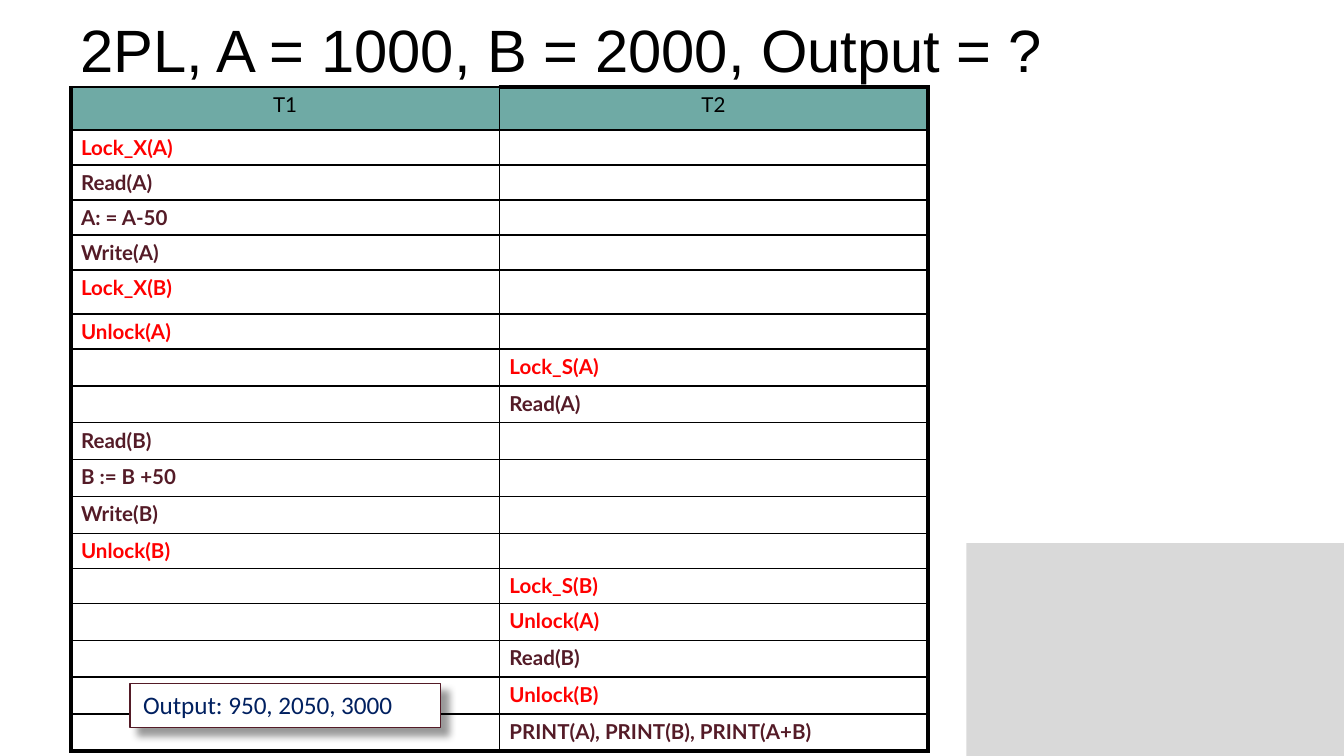
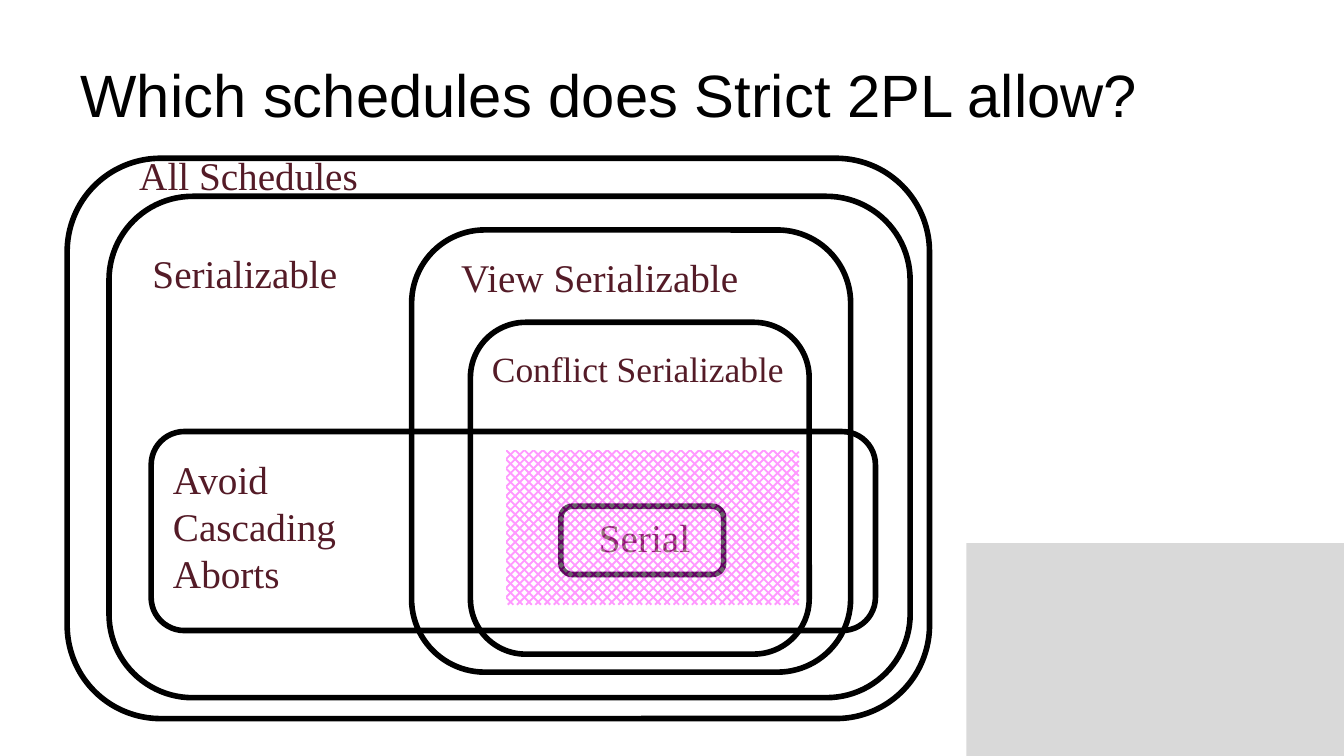
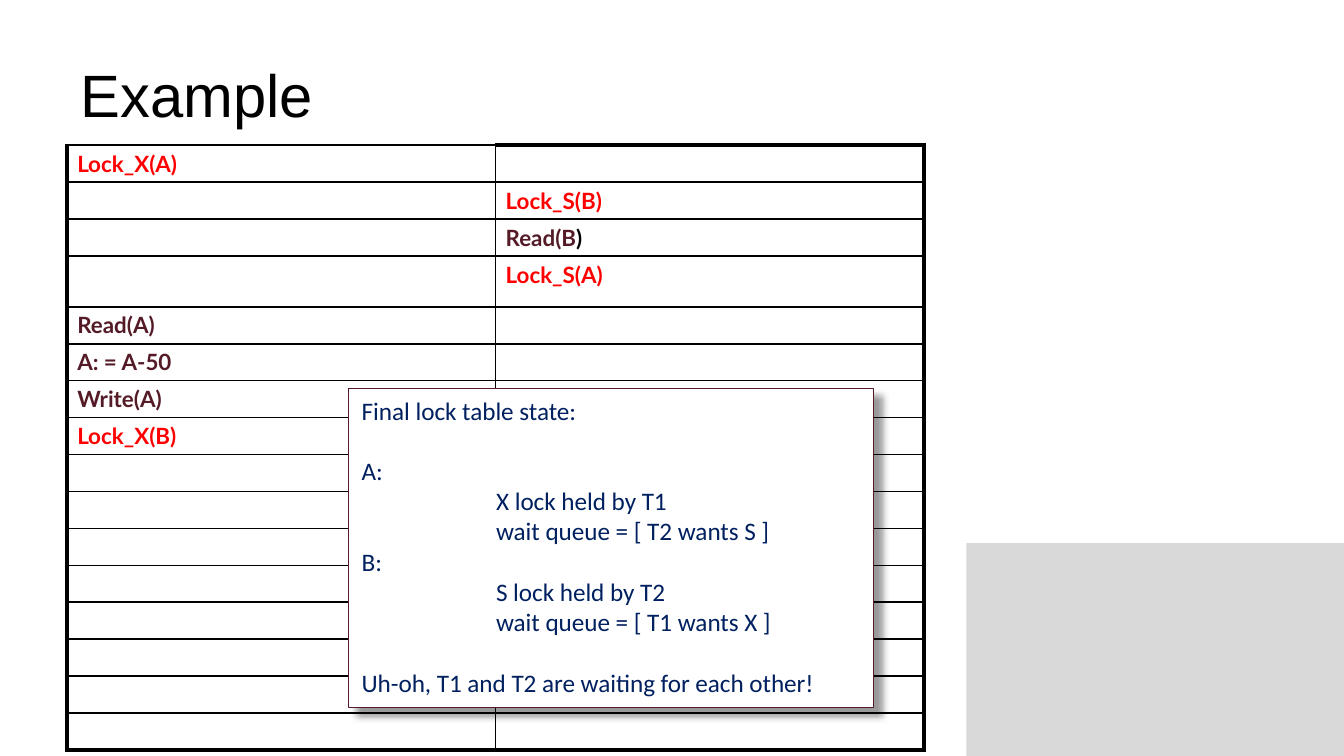
import dataclasses
import lxml.etree
import pptx
import pptx.dml.color
import pptx.enum.dml
import pptx.enum.shapes
import pptx.enum.text
import pptx.oxml
import pptx.oxml.ns
import pptx.util

Pt = pptx.util.Pt
qn = pptx.oxml.ns.qn
Shape = pptx.enum.shapes.MSO_SHAPE
Align = pptx.enum.text.PP_ALIGN
Anchor = pptx.enum.text.MSO_ANCHOR
Fit = pptx.enum.text.MSO_AUTO_SIZE


def rgb(code):
    return pptx.dml.color.RGBColor.from_string(code)


@dataclasses.dataclass(frozen=True)
class Theme:
    black: str = "000000"
    white: str = "FFFFFF"
    grey: str = "D9D9D9"
    teal: str = "6FAAA5"
    red: str = "FF0000"
    wine: str = "541B27"
    navy: str = "002060"
    pink: str = "FF00FF"
    sans: str = "Arial"
    grid: str = "Lato"
    memo: str = "Calibri"
    serif: str = "Times New Roman"
    title: float = 32
    label: float = 21
    small: float = 19
    note: float = 13.5
    gap: float = 16.2
    tab: float = 72
    thick: float = 2.25
    thin: float = 1


look = Theme()


def put(frame, text, size, face, tint, bold=False, align=Align.LEFT, gaps=(), tail=""):
    """Write one paragraph per line; gaps lists those set apart, tail ends the text in black."""
    for n, line in enumerate(text.split("\n")):
        para = frame.add_paragraph() if n else frame.paragraphs[0]
        para.text = line
        para.alignment = align
        if n in gaps:
            para.space_before = Pt(look.gap)
        if "\t" in line:
            tabs = lxml.etree.SubElement(para._p.get_or_add_pPr(), qn("a:tabLst"))
            lxml.etree.SubElement(tabs, qn("a:tab"), pos=str(Pt(look.tab)), algn="l")
        if tail:
            para.add_run().text = tail
        for run in para.runs:
            run.font.size = Pt(size)
            run.font.name = face
            run.font.bold = bold
            run.font.color.rgb = rgb(tint)
        if tail:
            para.runs[-1].font.color.rgb = rgb(look.black)
        if not line:
            lxml.etree.SubElement(para._p, qn("a:endParaRPr"), sz=str(int(size * 100)))


deck = pptx.Presentation()
deck.slide_width, deck.slide_height = Pt(720), Pt(405)
plan = deck.slide_layouts[5]

# Titles
for name, top in (
    ("2PL, A = 1000, B = 2000, Output = ?", -7.5),
    ("Which schedules does Strict 2PL allow?", 16.5),
    ("Example", 16.5),
):
    slide = deck.slides.add_slide(plan)
    title = slide.shapes.title
    title.left, title.top, title.width, title.height = Pt(36), Pt(top), Pt(648), Pt(67.5)
    title.text_frame.vertical_anchor = Anchor.MIDDLE
    put(title.text_frame, name, look.title, look.sans, look.black)
first, sets, last = deck.slides

# Grey corner on the master
corner = first.shapes.add_shape(Shape.RECTANGLE, Pt(517.7), Pt(291), Pt(202.3), Pt(114))
corner.shadow.inherit = False
corner.fill.solid()
corner.fill.fore_color.rgb = rgb(look.grey)
corner.line.fill.background()
deck.slide_master.shapes.element.insert(2, corner.element)

# Schedules with their notes
serial = [
    ("T1", "T2"),
    ("Lock_X(A)", ""),
    ("Read(A)", ""),
    ("A: = A-50", ""),
    ("Write(A)", ""),
    ("Lock_X(B)", ""),
    ("Unlock(A)", ""),
    ("", "Lock_S(A)"),
    ("", "Read(A)"),
    ("Read(B)", ""),
    ("B := B +50", ""),
    ("Write(B)", ""),
    ("Unlock(B)", ""),
    ("", "Lock_S(B)"),
    ("", "Unlock(A)"),
    ("", "Read(B)"),
    ("", "Unlock(B)"),
    ("", "PRINT(A), PRINT(B), PRINT(A+B)"),
]
stuck = [
    ("Lock_X(A)", ""),
    ("", "Lock_S(B)"),
    ("", "Read(B"),
    ("", "Lock_S(A)"),
    ("Read(A)", ""),
    ("A: = A-50", ""),
    ("Write(A)", ""),
    ("Lock_X(B)", ""),
] + [("", "")] * 8
state = """Final lock table state:
A:
\tX lock held by T1
\twait queue = [ T2 wants S ]
B:
\tS lock held by T2
\twait queue = [ T1 wants X ]
Uh-oh, T1 and T2 are waiting for each other!"""
low, mid = 18.75, 19.8
tall = [23] + [low] * 4 + [23.6, low] + [mid] * 5 + [low] * 2 + [mid] * 4
even = [mid] * 3 + [27.3] + [mid] * 12

for slide, left, top, size, steps, highs, box, memo, gaps in (
    (first, 38, 46.6, 11, serial, tall, (69.6, 366, 166.5, 23.6), "Output: 950, 2050, 3000", ()),
    (last, 36, 77.7, 12, stuck, even, (186.7, 208, 281.3, 171), state, (1, 7)),
):
    table = slide.shapes.add_table(
        len(steps), 2, Pt(left), Pt(top), Pt(459), Pt(sum(highs))
    ).table
    table.first_row = table.horz_banding = False
    for col in table.columns:
        col.width = Pt(229.5)
    for r, (step, high) in enumerate(zip(steps, highs)):
        table.rows[r].height = Pt(high)
        for c, text in enumerate(step):
            cell = table.cell(r, c)
            cell.margin_left = cell.margin_right = Pt(5.4)
            cell.margin_top, cell.margin_bottom = Pt(2.7), Pt(2)
            outer = {"L": c == 0, "R": c == 1, "T": r == 0 and c == 1, "B": r == len(steps) - 1}
            for side, edge in outer.items():
                width = Pt(look.thick if edge else look.thin)
                line = lxml.etree.SubElement(
                    cell._tc.get_or_add_tcPr(), qn("a:ln" + side), w=str(width)
                )
                fill = lxml.etree.SubElement(line, qn("a:solidFill"))
                lxml.etree.SubElement(fill, qn("a:srgbClr"), val=look.black)
            head = text in ("T1", "T2")
            if head:
                cell.fill.solid()
                cell.fill.fore_color.rgb = rgb(look.teal)
            else:
                cell.fill.background()
            tint = look.black if head else look.red if "lock" in text.lower() else look.wine
            put(cell.text_frame, text, size, look.grid, tint, bold=not head,
                align=Align.CENTER if head else Align.LEFT,
                tail=")" if text == "Read(B" else "")

    note = slide.shapes.add_shape(Shape.RECTANGLE, *map(Pt, box))
    note.fill.solid()
    note.fill.fore_color.rgb = rgb(look.white)
    note.line.color.rgb = rgb(look.wine)
    note.line.width = Pt(0.75)
    note.shadow.inherit = False
    shade = lxml.etree.SubElement(
        note.element.spPr.find(qn("a:effectLst")), qn("a:outerShdw"),
        blurRad=str(Pt(4)), dist=str(Pt(6)), dir="2700000", algn="tl", rotWithShape="0",
    )
    dark = lxml.etree.SubElement(shade, qn("a:srgbClr"), val=look.black)
    lxml.etree.SubElement(dark, qn("a:alpha"), val="40000")
    note.text_frame.word_wrap = True
    note.text_frame.auto_size = Fit.SHAPE_TO_FIT_TEXT
    note.text_frame.vertical_anchor = Anchor.TOP
    put(note.text_frame, memo, look.note, look.memo, look.navy, gaps=gaps)

# Nested sets: ring, label place, label
for ring, place, text, size in (
    ((58.4, 105.2, 429.2, 268.6), (74.6, 130, 143.3, 32.4), "Serializable", look.label),
    ((81, 231.2, 388, 106.6), (85.6, 240.5, 131.8, 83.5), "Avoid\nCascading\vAborts", look.label),
    ((300.5, 271.2, 87.2, 36.6), (313.7, 271.7, 77.8, 32.4), "Serial", look.label),
    ((252, 172.7, 181.5, 177.8), (256.5, 182.5, 187.2, 30.2), "Conflict Serializable", look.small),
    ((220.5, 123.2, 235.2, 236.9), (240, 132.1, 193.7, 32.4), "View Serializable", look.label),
    ((36, 84.8, 462, 300.2), (67.5, 77.5, 162, 32.4), "All Schedules", look.label),
):
    oval = sets.shapes.add_shape(Shape.ROUNDED_RECTANGLE, *map(Pt, ring))
    oval.shadow.inherit = False
    oval.fill.background()
    oval.line.color.rgb = rgb(look.black)
    oval.line.width = Pt(3)
    label = sets.shapes.add_textbox(*map(Pt, place)).text_frame
    label.word_wrap = True
    label.auto_size = Fit.SHAPE_TO_FIT_TEXT
    put(label, text, size, look.serif, look.wine)

# Strict 2PL zone
zone = sets.shapes.add_shape(Shape.RECTANGLE, Pt(271.2), Pt(241.2), Pt(156.8), Pt(82.8))
zone.shadow.inherit = False
zone.line.fill.background()
zone.fill.patterned()
zone.fill.pattern = pptx.enum.dml.MSO_PATTERN.PERCENT_50
zone.fill.fore_color.rgb = rgb(look.pink)
zone.fill.back_color.rgb = rgb(look.white)
for tone in zone.element.spPr.find(qn("a:pattFill")).iter(qn("a:srgbClr")):
    lxml.etree.SubElement(tone, qn("a:alpha"), val="40000")

deck.save("out.pptx")
